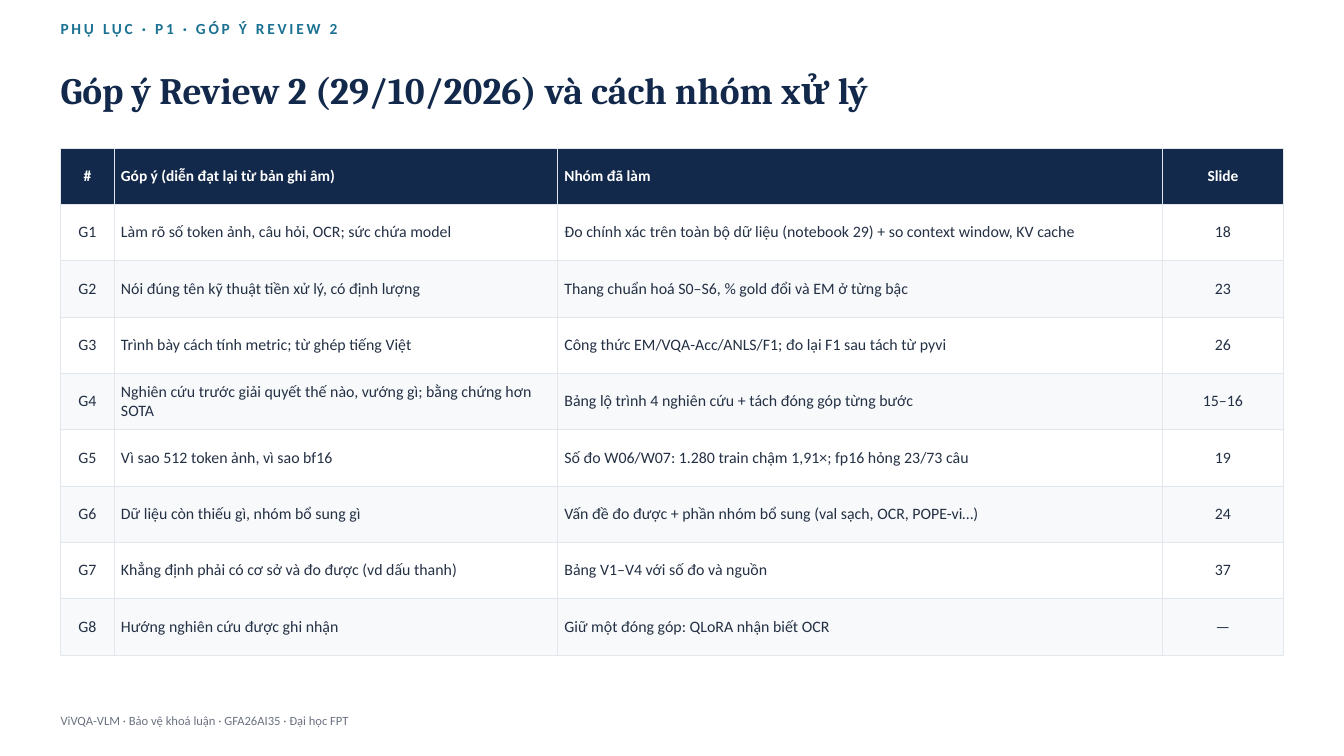
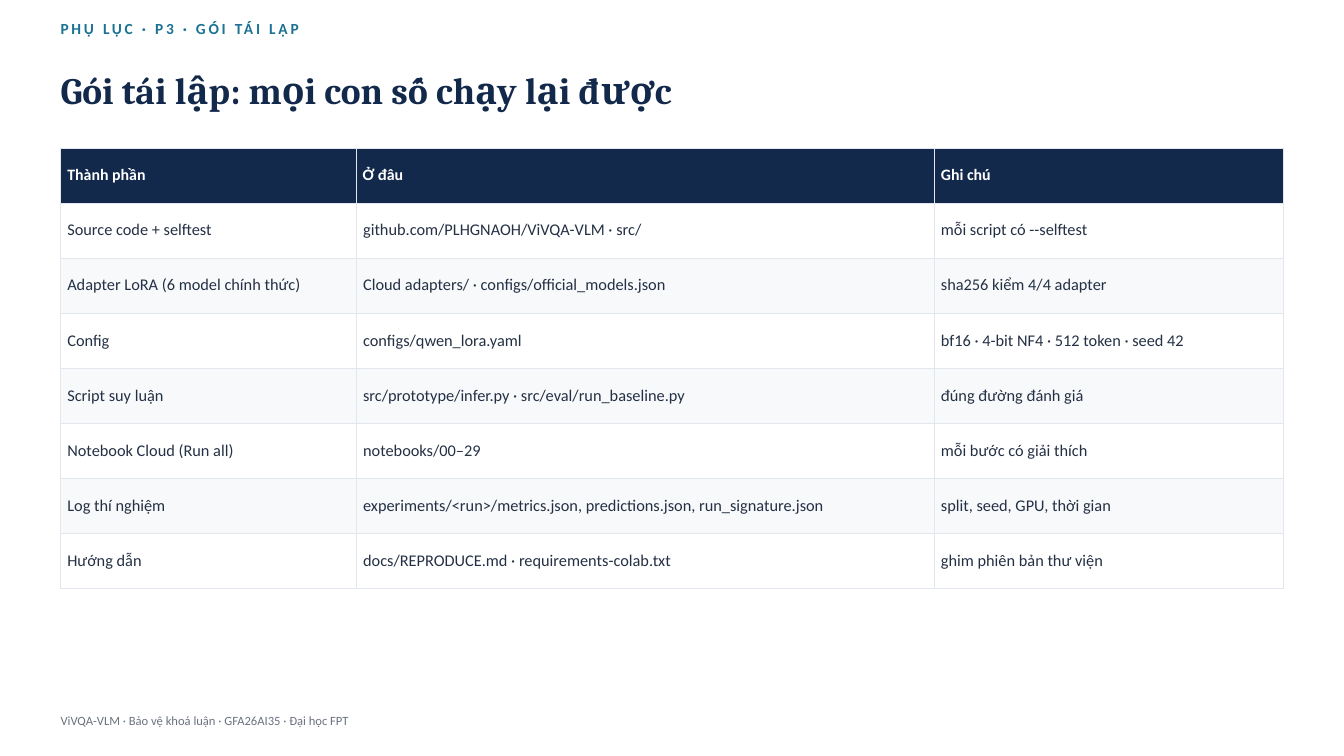
from pptx import Presentation
from pptx.dml.color import RGBColor
from pptx.enum.text import MSO_ANCHOR, MSO_AUTO_SIZE, PP_ALIGN
from pptx.oxml import parse_xml
from pptx.oxml.ns import nsdecls
from pptx.util import Cm, Pt

NAVY = RGBColor(0x13, 0x29, 0x4B)
TEAL = RGBColor(0x1C, 0x72, 0x93)
INK = RGBColor(0x24, 0x30, 0x44)
GREY = RGBColor(0x6B, 0x72, 0x80)
WHITE = RGBColor(0xFF, 0xFF, 0xFF)
STRIPE = RGBColor(0xF7, 0xF9, 0xFB)
BORDER = RGBColor(0xE2, 0xE7, 0xEE)

LEFT, WIDTH = Cm(2.29), Cm(46.23)
TABLE_TOP = Cm(5.59)
KICKER = {"name": "Calibri", "size": Pt(16.5), "bold": True}
TITLE = {"name": "Cambria", "size": Pt(40), "bold": True}
FOOTER = {"name": "Calibri", "size": Pt(13.5)}
FOOTER_TEXT = "ViVQA-VLM · Bảo vệ khoá luận · GFA26AI35 · Đại học FPT"

REVIEW_ROWS = [
    ("#", "Góp ý (diễn đạt lại từ bản ghi âm)", "Nhóm đã làm", "Slide"),
    ("G1", "Làm rõ số token ảnh, câu hỏi, OCR; sức chứa model",
     "Đo chính xác trên toàn bộ dữ liệu (notebook 29) + so context window, KV cache", "18"),
    ("G2", "Nói đúng tên kỹ thuật tiền xử lý, có định lượng",
     "Thang chuẩn hoá S0–S6, % gold đổi và EM ở từng bậc", "23"),
    ("G3", "Trình bày cách tính metric; từ ghép tiếng Việt",
     "Công thức EM/VQA-Acc/ANLS/F1; đo lại F1 sau tách từ pyvi", "26"),
    ("G4", "Nghiên cứu trước giải quyết thế nào, vướng gì; bằng chứng hơn SOTA",
     "Bảng lộ trình 4 nghiên cứu + tách đóng góp từng bước", "15–16"),
    ("G5", "Vì sao 512 token ảnh, vì sao bf16",
     "Số đo W06/W07: 1.280 train chậm 1,91×; fp16 hỏng 23/73 câu", "19"),
    ("G6", "Dữ liệu còn thiếu gì, nhóm bổ sung gì",
     "Vấn đề đo được + phần nhóm bổ sung (val sạch, OCR, POPE-vi…)", "24"),
    ("G7", "Khẳng định phải có cơ sở và đo được (vd dấu thanh)",
     "Bảng V1–V4 với số đo và nguồn", "37"),
    ("G8", "Hướng nghiên cứu được ghi nhận", "Giữ một đóng góp: QLoRA nhận biết OCR", "—"),
]

PACKAGE_ROWS = [
    ("Thành phần", "Ở đâu", "Ghi chú"),
    ("Source code + selftest", "github.com/PLHGNAOH/ViVQA-VLM · src/", "mỗi script có --selftest"),
    ("Adapter LoRA (6 model chính thức)", "Cloud adapters/ · configs/official_models.json",
     "sha256 kiểm 4/4 adapter"),
    ("Config", "configs/qwen_lora.yaml", "bf16 · 4-bit NF4 · 512 token · seed 42"),
    ("Script suy luận", "src/prototype/infer.py · src/eval/run_baseline.py", "đúng đường đánh giá"),
    ("Notebook Cloud (Run all)", "notebooks/00–29", "mỗi bước có giải thích"),
    ("Log thí nghiệm", "experiments/<run>/metrics.json, predictions.json, run_signature.json",
     "split, seed, GPU, thời gian"),
    ("Hướng dẫn", "docs/REPRODUCE.md · requirements-colab.txt", "ghim phiên bản thư viện"),
]


def set_attrs(obj, values):
    for name, value in values.items():
        setattr(obj, name, value)


def add_run(p, text, font, color):
    r = p.add_run()
    r.text = text
    set_attrs(r.font, font)
    r.font.color.rgb = color
    return r


def add_text(slide, top, width, height, text, font, color, spacing):
    tf = slide.shapes.add_textbox(LEFT, top, width, height).text_frame
    set_attrs(tf, {"margin_left": 0, "margin_top": 0, "margin_right": 0, "margin_bottom": 0,
                   "word_wrap": True, "auto_size": MSO_AUTO_SIZE.SHAPE_TO_FIT_TEXT})
    p = tf.paragraphs[0]
    set_attrs(p, spacing)
    return add_run(p, text, font, color)


def add_page(prs, kicker, title):
    """Add a blank slide with the shared kicker, title and footer."""
    slide = prs.slides.add_slide(prs.slide_layouts[6])
    r = add_text(slide, Cm(0.74), WIDTH, Cm(1.63), kicker, KICKER, TEAL, {"line_spacing": Pt(19.8)})
    r.font._element.set("spc", "300")
    add_text(slide, Cm(2.21), WIDTH, Cm(2.82), title, TITLE, NAVY, {"line_spacing": Pt(57.6)})
    add_text(slide, Cm(26.87), Cm(38.1), Cm(1.02), FOOTER_TEXT, FOOTER, GREY,
             {"line_spacing": 1.12, "space_after": Pt(4)})
    return slide


def add_borders(cell):
    tcPr = cell._tc.get_or_add_tcPr()
    for side in ("lnL", "lnR", "lnT", "lnB"):
        tcPr.append(parse_xml(
            f'<a:{side} {nsdecls("a")} w="{Pt(0.75)}"><a:solidFill>'
            f'<a:srgbClr val="{BORDER}"/></a:solidFill></a:{side}>'))


def add_grid(slide, rows, col_widths, row_height, head_size, body_size, centred=()):
    """Add a table with a dark header, striped rows and the given centred columns."""
    table = slide.shapes.add_table(len(rows), len(col_widths), LEFT, TABLE_TOP,
                                   WIDTH, row_height * len(rows)).table
    for column, width in zip(table.columns, col_widths):
        column.width = Cm(width)
    for i, values in enumerate(rows):
        table.rows[i].height = row_height
        head = i == 0
        fill = NAVY if head else (STRIPE, WHITE)[i % 2]
        font = {"name": "Calibri", "size": Pt(head_size if head else body_size), "bold": head}
        for j, text in enumerate(values):
            cell = table.cell(i, j)
            add_borders(cell)
            cell.fill.solid()
            cell.fill.fore_color.rgb = fill
            cell.vertical_anchor = MSO_ANCHOR.MIDDLE
            p = cell.text_frame.paragraphs[0]
            p.alignment = PP_ALIGN.CENTER if j in centred else PP_ALIGN.LEFT
            add_run(p, text, font, WHITE if head else INK)


def main():
    prs = Presentation()
    prs.slide_width, prs.slide_height = Cm(50.8), Cm(28.58)

    review = add_page(prs, "PHỤ LỤC · P1 · GÓP Ý REVIEW 2",
                      "Góp ý Review 2 (29/10/2026) và cách nhóm xử lý")
    add_grid(review, REVIEW_ROWS, (2.03, 16.76, 22.86, 4.57), Cm(2.13), 16.5, 17, centred=(0, 3))

    package_page = add_page(prs, "PHỤ LỤC · P3 · GÓI TÁI LẬP",
                            "Gói tái lập: mọi con số chạy lại được")
    add_grid(package_page, PACKAGE_ROWS, (11.18, 21.84, 13.21), Cm(2.08), 17, 17.5)

    prs.save("out.pptx")


if __name__ == "__main__":
    main()
